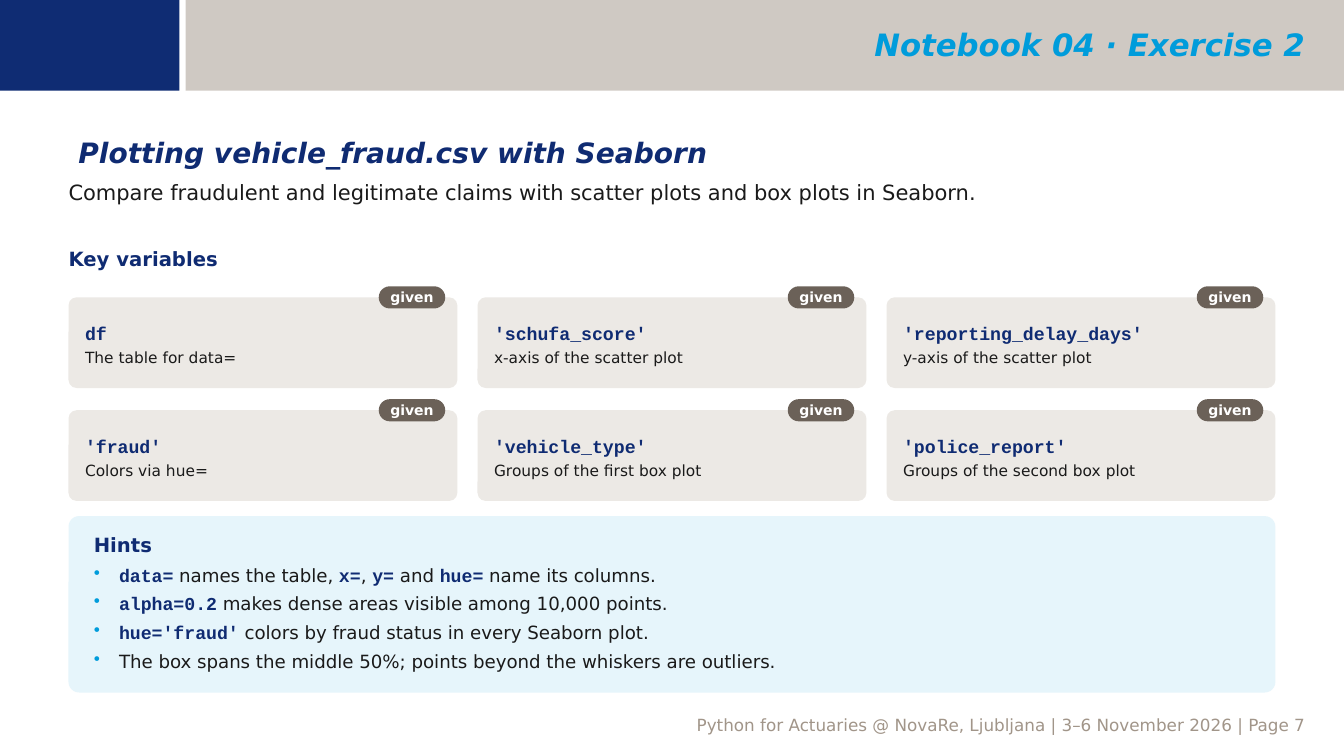
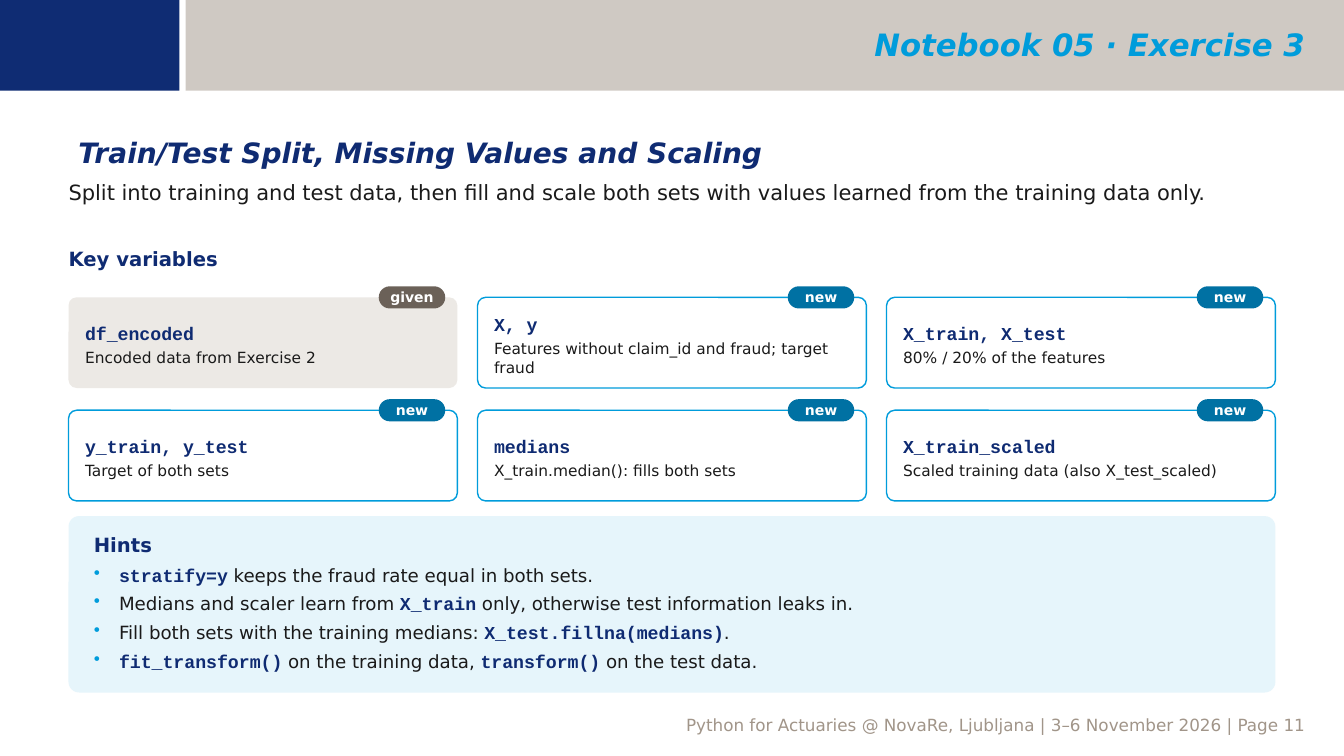
from lxml.etree import SubElement
from pptx import Presentation
from pptx.dml.color import RGBColor
from pptx.enum.shapes import MSO_SHAPE
from pptx.enum.text import MSO_ANCHOR, PP_ALIGN
from pptx.oxml.ns import qn
from pptx.util import Inches, Pt

COLORS = {
    "navy": "0F2B72", "logo_navy": "0F2C73", "cyan": "009CDB", "blue": "0071A3",
    "taupe": "A19589", "brown": "6B6158", "sand": "ECE9E5", "ice": "E6F5FB",
    "ink": "1A1A1A", "white": "FFFFFF",
}
SANS, MONO = "DejaVu Sans", "Courier New"

# Layout in inches
WIDTH, HEIGHT = 13.33, 7.5
MARGIN, CONTENT_WIDTH = 0.68, 11.97
BAND_HEIGHT = 0.9
COLUMNS, COLUMN_GAP, ROW_GAP = 3, 0.2, 0.22
CARDS_TOP, CARD_HEIGHT = 2.95, 0.9
CARD_WIDTH = (CONTENT_WIDTH - (COLUMNS - 1) * COLUMN_GAP) / COLUMNS
BADGE_WIDTH, BADGE_HEIGHT, BADGE_INSET = 0.66, 0.22, 0.12

# Card fill, card outline and badge fill for each status
STATUS_STYLES = {
    "given": ("sand", None, "brown"),
    "new": ("white", "cyan", "blue"),
}


def rgb(name):
    return RGBColor.from_string(COLORS[name])


def add_bullet(paragraph):
    properties = paragraph._p.get_or_add_pPr()
    properties.set("marL", str(Inches(0.25)))
    properties.set("indent", str(-Inches(0.25)))
    bullet_color = SubElement(properties, qn("a:buClr"))
    SubElement(bullet_color, qn("a:srgbClr"), val=COLORS["cyan"])
    SubElement(properties, qn("a:buChar"), char="•")


def write(frame, text, size, color="ink", font=SANS, bold=False, italic=False,
          align=PP_ALIGN.LEFT, before=0, bullet=False):
    """Add a paragraph; parts between backticks are set as code."""
    paragraph = frame.paragraphs[0]
    if paragraph.runs:
        paragraph = frame.add_paragraph()
    if bullet:
        add_bullet(paragraph)
    paragraph.alignment = align
    if before:
        paragraph.space_before = Pt(before)
    for index, part in enumerate(text.split("`")):
        if not part:
            continue
        is_code = index % 2 == 1
        run = paragraph.add_run()
        run.text = part
        run.font.size = Pt(size)
        run.font.name = MONO if is_code else font
        run.font.bold = is_code or bold
        run.font.italic = italic
        run.font.color.rgb = rgb("navy" if is_code else color)


class ExerciseDeck:
    def __init__(self):
        self.presentation = Presentation()
        self.presentation.slide_width = Inches(WIDTH)
        self.presentation.slide_height = Inches(HEIGHT)
        self.slide = None

    def prepare_frame(self, shape, insets, anchor):
        frame = shape.text_frame
        frame.word_wrap = True
        frame.vertical_anchor = anchor
        (frame.margin_left, frame.margin_top,
         frame.margin_right, frame.margin_bottom) = map(Inches, insets)
        return frame

    def text(self, box, text, size, insets=(0, 0, 0, 0),
             anchor=MSO_ANCHOR.TOP, **style):
        shape = self.slide.shapes.add_textbox(*map(Inches, box))
        write(self.prepare_frame(shape, insets, anchor), text, size, **style)

    def panel(self, box, fill, line=None, radius=None, alpha=None,
              insets=(0, 0, 0, 0), anchor=MSO_ANCHOR.MIDDLE):
        preset = MSO_SHAPE.RECTANGLE if radius is None else MSO_SHAPE.ROUNDED_RECTANGLE
        shape = self.slide.shapes.add_shape(preset, *map(Inches, box))
        shape.shadow.inherit = False
        if radius is not None:
            shape.adjustments[0] = radius
        shape.fill.solid()
        shape.fill.fore_color.rgb = rgb(fill)
        if alpha is not None:
            fill_color = shape._element.spPr.find(qn("a:solidFill"))[0]
            SubElement(fill_color, qn("a:alpha"), val=str(alpha * 1000))
        if line:
            shape.line.color.rgb = rgb(line)
            shape.line.width = Pt(1)
        else:
            shape.line.fill.background()
        return self.prepare_frame(shape, insets, anchor)

    def start_slide(self, header, page):
        self.slide = self.presentation.slides.add_slide(
            self.presentation.slide_layouts[6])
        padding = (0.1, 0.05, 0.1, 0.05)
        # Footer
        self.text((0.76, 7.05, 12.29, 0.09),
                  f"Python for Actuaries @ NovaRe, Ljubljana | 3–6 November 2026 | Page {page}",
                  12, insets=padding, color="taupe", align=PP_ALIGN.RIGHT)
        # Header band
        self.panel((1.84, 0, WIDTH - 1.84, BAND_HEIGHT), "taupe", alpha=50)
        self.panel((0, 0, 1.78, BAND_HEIGHT), "logo_navy")
        self.text((2.02, 0.02, 11.02, 0.84), header, 22, insets=padding,
                  anchor=MSO_ANCHOR.MIDDLE, color="cyan", bold=True, italic=True,
                  align=PP_ALIGN.RIGHT)

    def introduction(self, title, task):
        self.text((MARGIN, 1.3, CONTENT_WIDTH, 0.4), title, 20,
                  insets=(0.1, 0.05, 0.1, 0.05), color="navy", bold=True, italic=True)
        self.text((MARGIN, 1.78, CONTENT_WIDTH, 0.62), task, 15)

    def variable_card(self, index, name, meaning, status):
        row, column = divmod(index, COLUMNS)
        left = MARGIN + column * (CARD_WIDTH + COLUMN_GAP)
        top = CARDS_TOP + row * (CARD_HEIGHT + ROW_GAP)
        fill, outline, badge_fill = STATUS_STYLES[status]
        card = self.panel((left, top, CARD_WIDTH, CARD_HEIGHT), fill, line=outline,
                          radius=0.09, insets=(0.14, 0.1, 0.14, 0.06))
        write(card, name, 13, color="navy", font=MONO, bold=True)
        write(card, meaning, 11, before=3)
        badge_left = left + CARD_WIDTH - BADGE_INSET - BADGE_WIDTH
        badge = self.panel((badge_left, top - BADGE_HEIGHT / 2, BADGE_WIDTH, BADGE_HEIGHT),
                           badge_fill, radius=0.5)
        write(badge, status, 10, color="white", bold=True, align=PP_ALIGN.CENTER)

    def key_variables(self, variables):
        self.text((MARGIN, 2.45, 6, 0.32), "Key variables", 14, color="navy", bold=True)
        for index, variable in enumerate(variables):
            self.variable_card(index, *variable)

    def hints(self, hints):
        frame = self.panel((MARGIN, 5.12, CONTENT_WIDTH, 1.75), "ice", radius=0.06,
                           insets=(0.22, 0.14, 0.22, 0.1), anchor=MSO_ANCHOR.TOP)
        write(frame, "Hints", 14, color="navy", bold=True)
        for hint in hints:
            write(frame, hint, 13, before=5, bullet=True)


EXERCISES = [
    {
        "header": "Notebook 04 · Exercise 2",
        "page": 7,
        "title": "Plotting vehicle_fraud.csv with Seaborn",
        "task": "Compare fraudulent and legitimate claims with scatter plots "
                "and box plots in Seaborn.",
        "variables": [
            ("df", "The table for data=", "given"),
            ("'schufa_score'", "x-axis of the scatter plot", "given"),
            ("'reporting_delay_days'", "y-axis of the scatter plot", "given"),
            ("'fraud'", "Colors via hue=", "given"),
            ("'vehicle_type'", "Groups of the first box plot", "given"),
            ("'police_report'", "Groups of the second box plot", "given"),
        ],
        "hints": [
            "`data=` names the table, `x=`, `y=` and `hue=` name its columns.",
            "`alpha=0.2` makes dense areas visible among 10,000 points.",
            "`hue='fraud'` colors by fraud status in every Seaborn plot.",
            "The box spans the middle 50%; points beyond the whiskers are outliers.",
        ],
    },
    {
        "header": "Notebook 05 · Exercise 3",
        "page": 11,
        "title": "Train/Test Split, Missing Values and Scaling",
        "task": "Split into training and test data, then fill and scale both sets "
                "with values learned from the training data only.",
        "variables": [
            ("df_encoded", "Encoded data from Exercise 2", "given"),
            ("X, y", "Features without claim_id and fraud; target fraud", "new"),
            ("X_train, X_test", "80% / 20% of the features", "new"),
            ("y_train, y_test", "Target of both sets", "new"),
            ("medians", "X_train.median(): fills both sets", "new"),
            ("X_train_scaled", "Scaled training data (also X_test_scaled)", "new"),
        ],
        "hints": [
            "`stratify=y` keeps the fraud rate equal in both sets.",
            "Medians and scaler learn from `X_train` only, otherwise test information leaks in.",
            "Fill both sets with the training medians: `X_test.fillna(medians)`.",
            "`fit_transform()` on the training data, `transform()` on the test data.",
        ],
    },
]


def main():
    deck = ExerciseDeck()
    for exercise in EXERCISES:
        deck.start_slide(exercise["header"], exercise["page"])
        deck.introduction(exercise["title"], exercise["task"])
        deck.key_variables(exercise["variables"])
        deck.hints(exercise["hints"])
    deck.presentation.save("out.pptx")


if __name__ == "__main__":
    main()
